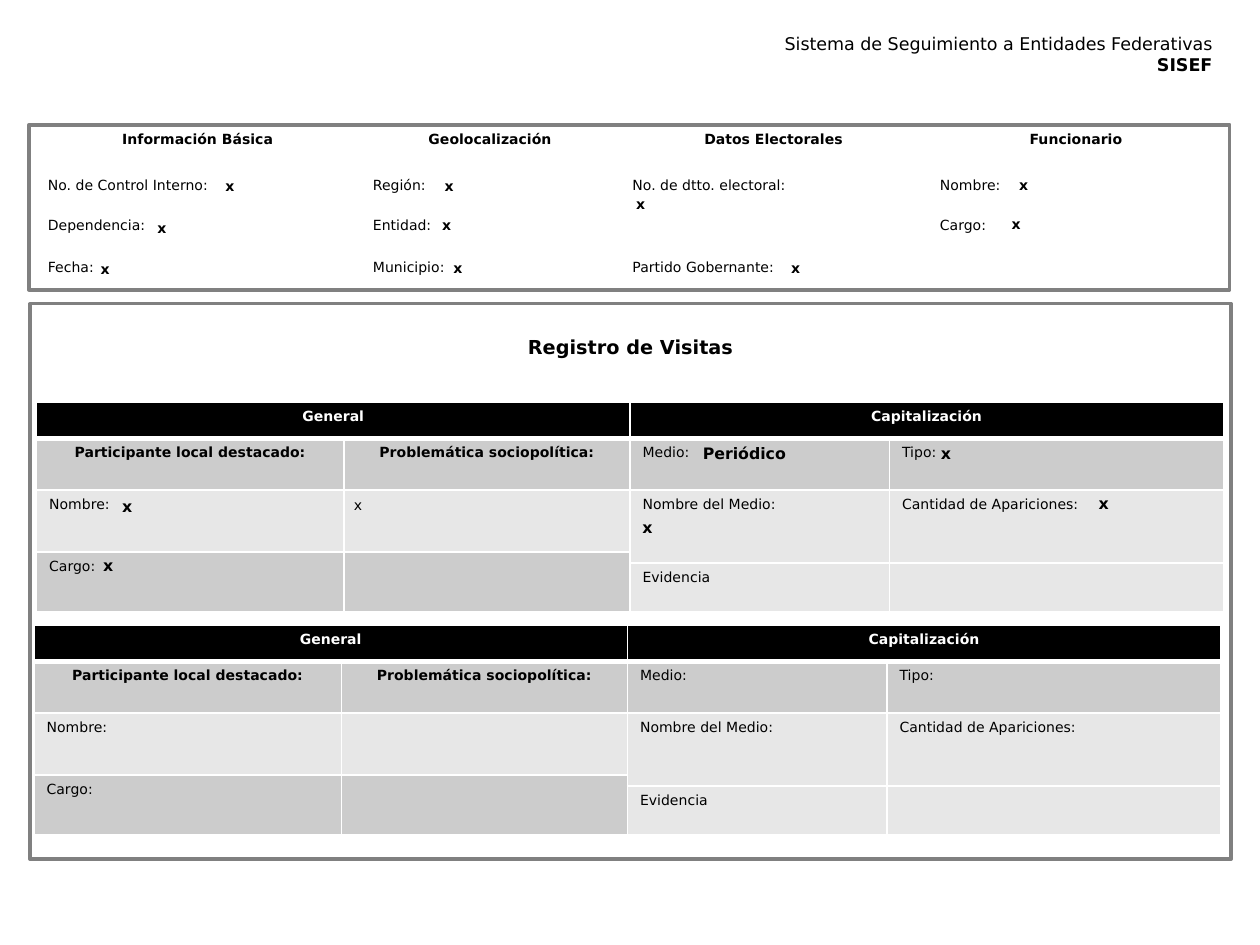
from pptx import Presentation
from pptx.dml.color import RGBColor
from pptx.enum.shapes import MSO_SHAPE
from pptx.enum.text import PP_ALIGN
from pptx.oxml import parse_xml
from pptx.oxml.ns import nsdecls, qn
from pptx.util import Inches, Pt

COLORS = {"black": "000000", "white": "FFFFFF", "frame": "808080",
          "dark": "CCCCCC", "light": "E7E7E7"}
FONT = "DejaVu Sans"
PLAIN_TABLE_STYLE = "{2D5ABB26-0587-4C30-8999-92F81FD0307C}"


def write(para, text, size=8, bold=False, align=PP_ALIGN.LEFT, color="black"):
    para.text = text
    para.alignment = align
    para.font.name = FONT
    para.font.size = Pt(size)
    para.font.bold = bold
    para.font.color.rgb = RGBColor.from_string(COLORS[color])


def add_grid(page, left, top, widths, heights):
    """Add an unstyled table with the given column widths and row heights."""
    table = page.shapes.add_table(
        len(heights), len(widths), Inches(left), Inches(top),
        Inches(sum(widths)), Inches(sum(heights))).table
    table._tbl.tblPr.find(qn("a:tableStyleId")).text = PLAIN_TABLE_STYLE
    for column, width in zip(table.columns, widths):
        column.width = Inches(width)
    for row, height in zip(table.rows, heights):
        row.height = Inches(height)
    return table


deck = Presentation()
deck.slide_width, deck.slide_height = Inches(10), Inches(7.5)
page = deck.slides.add_slide(deck.slide_layouts[6])

# Heading
box = page.shapes.add_textbox(Inches(5.47), Inches(0.21), Inches(4.25), Inches(0.44))
box.text_frame.word_wrap = True
write(box.text_frame.paragraphs[0], "Sistema de Seguimiento a Entidades Federativas",
      10, align=PP_ALIGN.RIGHT)
write(box.text_frame.add_paragraph(), "SISEF", 10, True, PP_ALIGN.RIGHT)

# Frames around the two sections
for left, top, height in [(0.23, 0.99, 1.31), (0.24, 2.41, 4.41)]:
    frame = page.shapes.add_shape(MSO_SHAPE.RECTANGLE, Inches(left), Inches(top),
                                  Inches(9.53), Inches(height))
    frame.shadow.inherit = False
    frame.fill.background()
    frame.line.color.rgb = RGBColor.from_string(COLORS["frame"])
    frame.line.width = Pt(2)

# Basic data
basic_rows = [
    ["Información Básica", "Geolocalización", "Datos Electorales", "Funcionario"],
    ["No. de Control Interno:", "Región:", "No. de dtto. electoral:", "Nombre:"],
    ["Dependencia:", "Entidad:", "", "Cargo:"],
    ["Fecha:", "Municipio:", "Partido Gobernante:", ""],
]
basic = add_grid(page, 0.28, 0.99, [2.58, 2.06, 2.44, 2.36], [0.37, 0.32, 0.33, 0.36])
for r, labels in enumerate(basic_rows):
    for c, label in enumerate(labels):
        cell = basic.cell(r, c)
        cell.fill.background()
        write(cell.text_frame.paragraphs[0], label, bold=r == 0,
              align=PP_ALIGN.CENTER if r == 0 else PP_ALIGN.LEFT)

# Visit records: labels, then the fill of the left and right halves of each row
visit_rows = [
    (["General", "", "Capitalización", ""], "black", "black"),
    (["Participante local destacado:", "Problemática sociopolítica:", "Medio:", "Tipo:"],
     "dark", "dark"),
    (["Nombre:", "", "Nombre del Medio:", "Cantidad de Apariciones:"], "light", "light"),
    (["Cargo:", "", "", ""], "dark", "light"),
    (["", "", "Evidencia", ""], "dark", "light"),
]
merges = [(0, 0, 0, 1), (0, 2, 0, 3), (2, 2, 3, 2), (2, 3, 3, 3), (3, 0, 4, 0), (3, 1, 4, 1)]
for left, top in [(0.29, 3.19), (0.27, 4.96)]:
    visits = add_grid(page, left, top, [2.44, 2.27, 2.06, 2.65],
                      [0.29, 0.41, 0.49, 0.09, 0.39])
    for r, (labels, left_fill, right_fill) in enumerate(visit_rows):
        for c, label in enumerate(labels):
            cell = visits.cell(r, c)
            heading = r == 0 or (r == 1 and c < 2)
            write(cell.text_frame.paragraphs[0], label, bold=heading,
                  align=PP_ALIGN.CENTER if heading else PP_ALIGN.LEFT,
                  color="white" if r == 0 else "black")
            cell.fill.solid()
            cell.fill.fore_color.rgb = RGBColor.from_string(
                COLORS[left_fill if c < 2 else right_fill])
            for position, side in enumerate("LRTB"):
                thick = (r == 0 and side == "B") or (r == 1 and side == "T")
                cell._tc.get_or_add_tcPr().insert(position, parse_xml(
                    f'<a:ln{side} {nsdecls("a")} w="{Pt(3 if thick else 1)}"><a:solidFill>'
                    f'<a:srgbClr val="{COLORS["white"]}"/></a:solidFill></a:ln{side}>'))
    for first_row, first_column, last_row, last_column in merges:
        visits.cell(first_row, first_column).merge(visits.cell(last_row, last_column))

# Section title
box = page.shapes.add_textbox(Inches(3.98), Inches(2.61), Inches(2.05), Inches(0.29))
box.text_frame.word_wrap = True
write(box.text_frame.paragraphs[0], "Registro de Visitas", 11, True, PP_ALIGN.CENTER)

# Field values: left, top, width, text, size, bold
basic_values = [
    (1.69, 1.36, 0.87), (1.15, 1.69, 1.5), (0.7, 2.02, 1.97),
    (3.43, 1.36, 1.5), (3.41, 1.67, 1.42), (3.5, 2.01, 1.25),
    (4.95, 1.5, 2.42), (6.18, 2.01, 0.94),
    (7.99, 1.35, 1.57), (7.93, 1.66, 1.57),
]
visit_values = [
    (0.87, 3.89, 1.59, "x", 9, True),
    (0.72, 4.36, 1.74, "x", 9, True),
    (2.71, 3.89, 2.23, "x", 8, False),
    (5.48, 3.47, 1.57, "Periódico", 9, True),
    (7.37, 3.47, 1.64, "x", 9, True),
    (5, 4.06, 1.89, "x", 9, True),
    (8.62, 3.87, 0.55, "x", 9, True),
]
values = [(*place, "x", 8, True) for place in basic_values] + visit_values
for left, top, width, text, size, bold in values:
    box = page.shapes.add_textbox(Inches(left), Inches(top), Inches(width),
                                  Inches(0.25 if size == 9 else 0.24))
    box.text_frame.word_wrap = True
    write(box.text_frame.paragraphs[0], text, size, bold)

deck.save("out.pptx")
